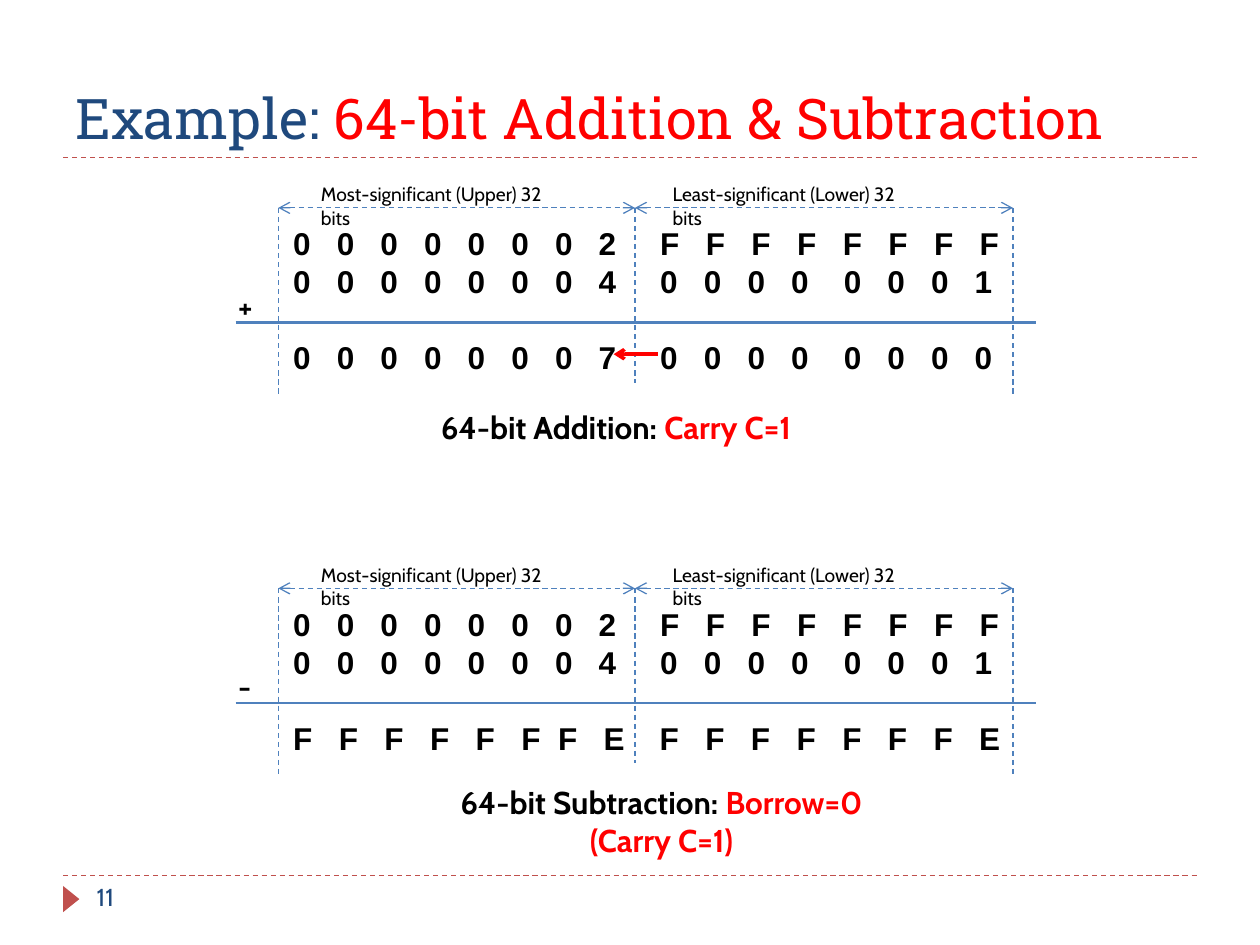
import itertools

import pptx
import pptx.dml.color
import pptx.enum.dml
import pptx.enum.shapes
import pptx.enum.text
import pptx.oxml.ns
import pptx.util
from lxml import etree

Cm = pptx.util.Cm
Pt = pptx.util.Pt
qn = pptx.oxml.ns.qn

COLORS = {"navy": "1F497D", "red": "FF0000", "black": "000000",
          "blue": "4F81BD", "brick": "C0504D"}

TITLE = {"name": "Roboto Slab", "size": Pt(32)}
NUMBER = {"name": "Cabin", "size": Pt(14)}
LABEL = {"name": "Cabin", "size": Pt(11)}
STRONG = {"name": "Cabin", "size": Pt(18), "bold": True}
DIGIT = {"name": "Arial", "size": Pt(18), "bold": True}

# Distances in cm between neighbouring digits in one 32-bit half
EVEN = [0.88] * 7
SPLIT = [0.88] * 3 + [1.06] + [0.88] * 3
WIDE = [0.92] * 7
CLOSE = [0.92] * 5 + [0.74, 0.92]
HALF_GAP = 1.24
SHORT_HALF_GAP = 1.13

OPERANDS = [
    ("00000002FFFFFFFF", EVEN + [HALF_GAP] + WIDE),
    ("0000000400000001", EVEN + [HALF_GAP] + SPLIT),
]
SUM = ("0000000700000000", EVEN + [HALF_GAP] + SPLIT)
DIFFERENCE = ("FFFFFFFEFFFFFFFE", CLOSE + [SHORT_HALF_GAP] + WIDE)

# Left edge, upper/lower boundary and right edge of the 64-bit number
LEFT, MIDDLE, RIGHT = 5.61, 12.8, 20.42
ROW_HEIGHT = Pt(21.7)


def rgb(color):
    return pptx.dml.color.RGBColor.from_string(COLORS[color])


def add_box(page, left, top, width, height):
    box = page.shapes.add_textbox(Cm(left), Cm(top), Cm(width), Cm(height))
    box.text_frame.word_wrap = True
    return box


def add_span(para, text, style, color):
    span = para.add_run()
    span.text = text
    for key, value in style.items():
        setattr(span.font, key, value)
    span.font.color.rgb = rgb(color)


def add_text(page, place, lines, style, align="LEFT", anchor="TOP"):
    """Each line is a list of (text, color) spans."""
    frame = add_box(page, *place).text_frame
    frame.vertical_anchor = getattr(pptx.enum.text.MSO_ANCHOR, anchor)
    for index, spans in enumerate(lines):
        para = frame.add_paragraph() if index else frame.paragraphs[0]
        para.alignment = getattr(pptx.enum.text.PP_ALIGN, align)
        for text, color in spans:
            add_span(para, text, style, color)


def add_line(page, start, end, color, width=0.75, dashed=True, arrows=()):
    line = page.shapes.add_connector(
        pptx.enum.shapes.MSO_CONNECTOR.STRAIGHT,
        Cm(start[0]), Cm(start[1]), Cm(end[0]), Cm(end[1]))
    line.line.color.rgb = rgb(color)
    line.line.width = Pt(width)
    if dashed:
        line.line.dash_style = pptx.enum.dml.MSO_LINE.DASH
    outline = line.line._get_or_add_ln()
    for arrow in arrows:
        etree.SubElement(outline, qn(f"a:{arrow}"), type="arrow")
    etree.SubElement(line._element.spPr, qn("a:effectLst"))


def set_tabs(para, gaps):
    tabs = etree.SubElement(para._p.get_or_add_pPr(), qn("a:tabLst"))
    for stop in itertools.accumulate(gaps):
        etree.SubElement(tabs, qn("a:tab"), pos=str(Cm(stop)), algn="l")


def add_digits(page, top, result):
    frame = add_box(page, 5.66, top, 15.2, 3.33).text_frame
    for index, (digits, gaps) in enumerate(OPERANDS + [result]):
        para = frame.add_paragraph() if index else frame.paragraphs[0]
        set_tabs(para, gaps)
        para.line_spacing = ROW_HEIGHT
        add_span(para, "\t".join(digits), DIGIT, "black")
    para.space_before = ROW_HEIGHT  # room for the rule above the result


def add_calculation(page, top, sign, result):
    # Rule and boundaries
    add_line(page, (4.75, top + 2.31), (20.88, top + 2.31), "blue", 1.5, False)
    for x, length in ((MIDDLE, 3.53), (LEFT, 3.81), (RIGHT, 3.81)):
        add_line(page, (x, top), (x, top + length), "blue")

    add_digits(page, top + 0.2, result)

    # Labelled spans of the two halves
    for start, end in ((LEFT, MIDDLE), (MIDDLE, RIGHT)):
        add_line(page, (start, top), (end, top), "blue",
                 arrows=("headEnd", "tailEnd"))
    for left, width, label in (
            (6.22, 5.51, "Most-significant (Upper) 32 bits"),
            (13.31, 5.56, "Least-significant (Lower) 32 bits")):
        add_text(page, (left, top - 0.63, width, 0.74),
                 [[(label, "black")]], LABEL)
    add_text(page, (4.55, top + 1.47, 0.89, 1.02), [[(sign, "black")]], STRONG)


def add_frame(page):
    # Title and footer
    for y in (17.65, 3.18):
        add_line(page, (1.27, y), (24.13, y), "brick")
    marker = page.shapes.add_shape(
        pptx.enum.shapes.MSO_SHAPE.ISOSCELES_TRIANGLE,
        Cm(1.17), Cm(17.96), Cm(0.53), Cm(0.33))
    marker.rotation = 90
    marker.shadow.inherit = False
    marker.fill.solid()
    marker.fill.fore_color.rgb = rgb("brick")
    marker.line.fill.background()
    add_text(page, (1.7, 17.65, 5.51, 1.02), [[("11", "navy")]], NUMBER)
    add_text(page, (1.27, 0.43, 22.86, 2.74),
             [[("Example: ", "navy"),
               ("64-bit Addition & Subtraction", "red")]],
             TITLE, anchor="BOTTOM")


def main():
    deck = pptx.Presentation()
    deck.slide_width, deck.slide_height = Cm(25.4), Cm(19.05)
    page = deck.slides.add_slide(deck.slide_layouts[6])
    add_frame(page)

    # Addition
    add_calculation(page, 4.19, "+", SUM)
    add_line(page, (13.26, 7.14), (12.37, 7.14), "red", 2, False, ("tailEnd",))
    add_text(page, (8.64, 8.1, 8.38, 1.02),
             [[("64-bit Addition: ", "black"), ("Carry C=1", "red")]], STRONG)

    # Subtraction
    add_calculation(page, 11.86, "-", DIFFERENCE)
    add_text(page, (8.74, 15.67, 9.19, 1.8),
             [[("64-bit Subtraction: ", "black"), ("Borrow=0", "red")],
              [("(Carry C=1)", "red")]], STRONG, align="CENTER")

    deck.save("out.pptx")


if __name__ == "__main__":
    main()
